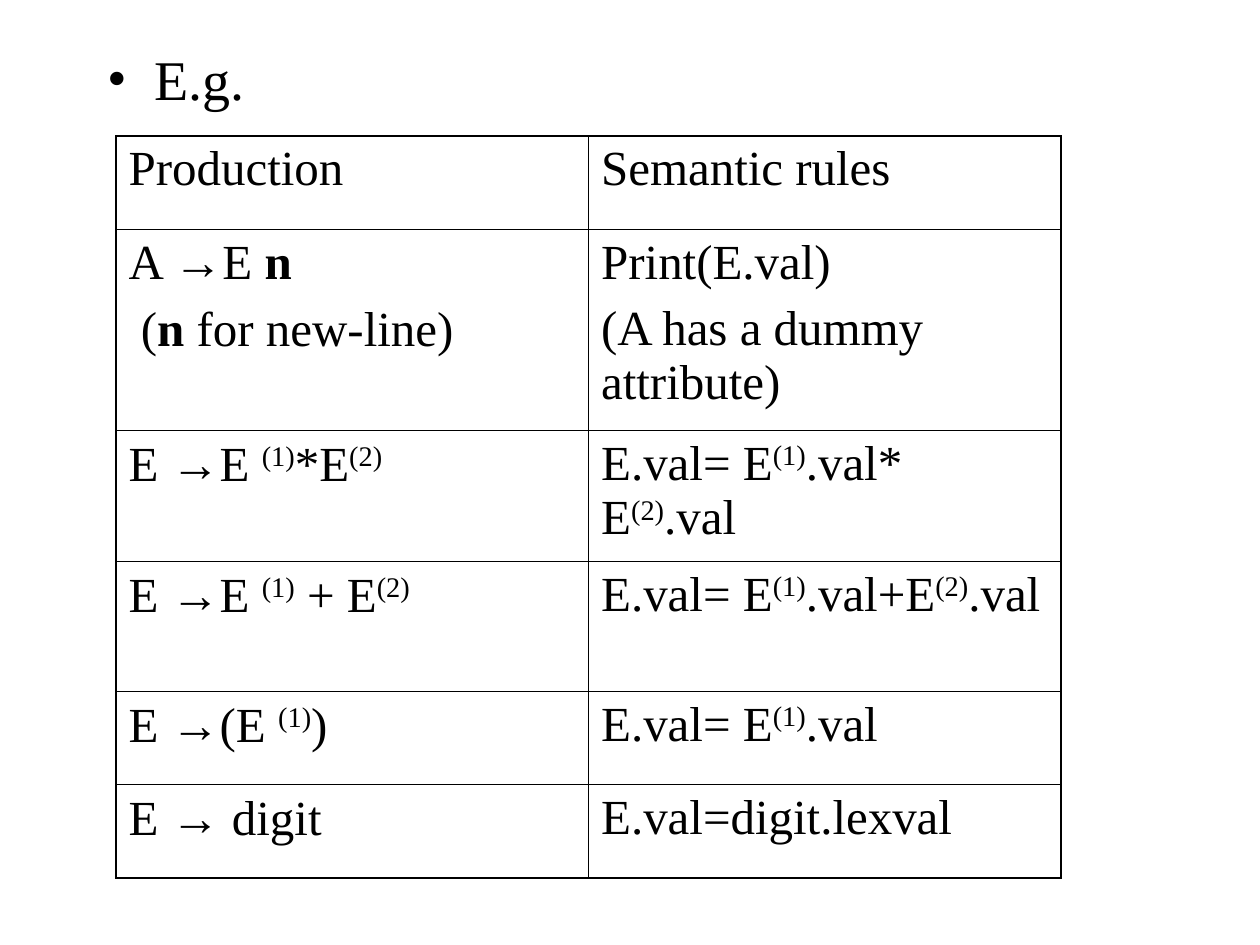
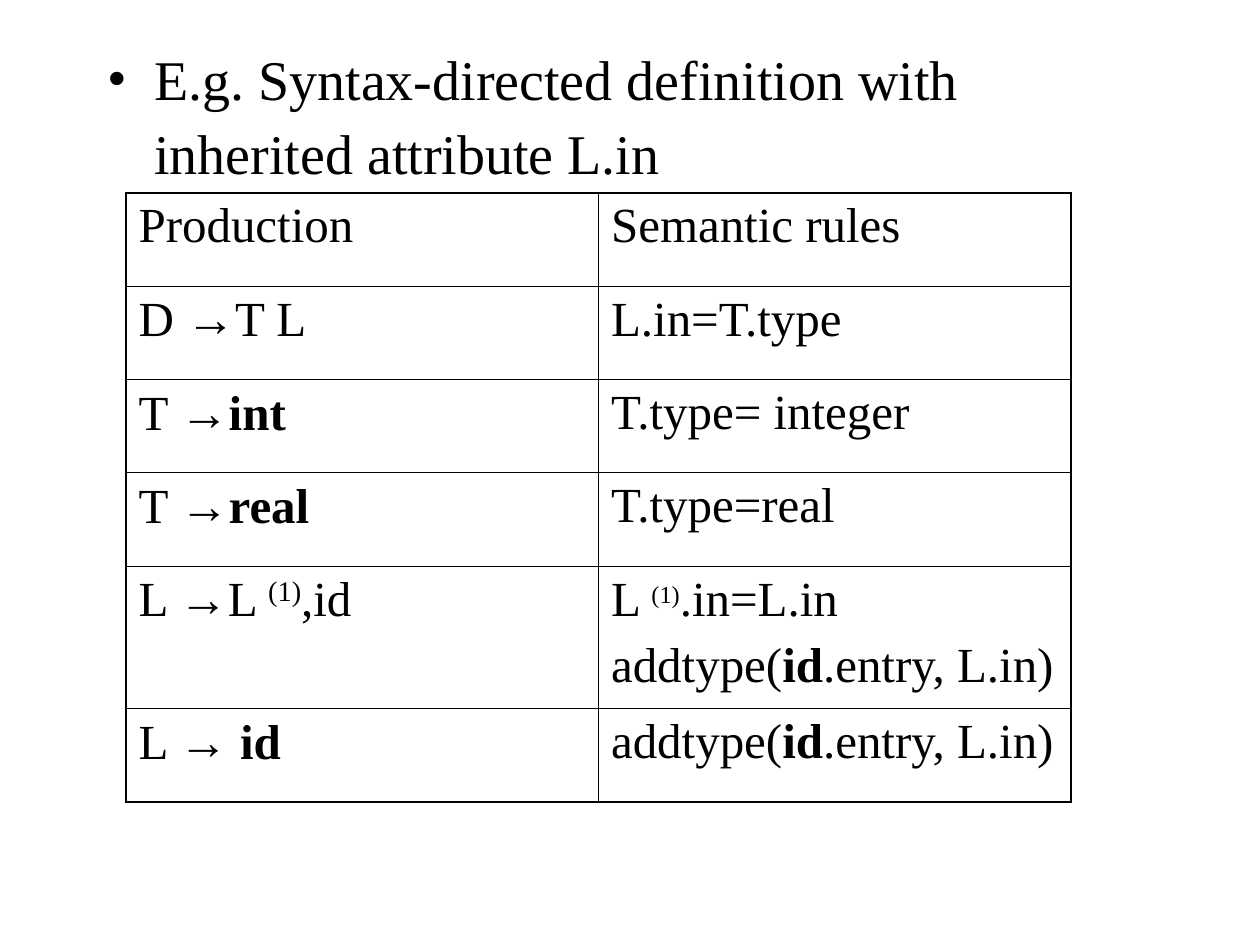
from dataclasses import dataclass
from itertools import groupby

from lxml import etree
from pptx import Presentation
from pptx import util as u
from pptx.dml import color
from pptx.oxml import ns


@dataclass(frozen=True)
class Theme:
    ink: str = "000000"
    paper: str = "FFFFFF"
    font: str = "Times New Roman"
    arrow_font: str = "Arial"
    heading_size: float = 32
    cell_size: float = 28
    small_size: float = 24
    heading_spacing: float = 1.1
    paragraph_gap: float = 7
    inner_line: float = 0.45
    outer_line: float = 1.08


THEME = Theme()
HEADING_BOX = (1.91, 0.64, 21.59, 16.71)
TABLE_WIDTH = 19.05
ROW = 1.88

# Marks in the wording switch a style on and off:
# | bold, ^ superscript, ` superscript in the small size
HEADER = ("Production", "Semantic rules")
CALCULATOR_RULES = [
    (ROW, HEADER),
    (4.06, ("A →E |n|\n (|n| for new-line)", "Print(E.val)\n(A has a dummy attribute)")),
    (2.64, ("E →E ^(1)^*E^(2)^", "E.val= E^(1)^.val* E^(2)^.val")),
    (2.62, ("E →E ^(1)^ + E^(2)^", "E.val= E^(1)^.val+E^(2)^.val")),
    (ROW, ("E →(E ^(1)^)", "E.val= E^(1)^.val")),
    (ROW, ("E → digit", "E.val=digit.lexval")),
]
DECLARATION_RULES = [
    (ROW, HEADER),
    (ROW, ("D →T L", "L.in=T.type")),
    (ROW, ("T →|int|", "T.type= integer")),
    (ROW, ("T →|real|", "T.type=real")),
    (2.87, ("L →L ^(1)^,id", "L `(1)`.in=L.in\naddtype(|id|.entry, L.in)")),
    (ROW, ("L → |id|", "addtype(|id|.entry, L.in)")),
]


def styled_pieces(line):
    """Split a marked line into (text, active marks, is arrow) pieces."""
    active, characters = frozenset(), []
    for character in line:
        if character in "|^`":
            active ^= {character}
        else:
            characters.append((character, active, character == "→"))
    for style, group in groupby(characters, key=lambda item: item[1:]):
        yield "".join(item[0] for item in group), *style


def add_bullet(paragraph, indent):
    properties = paragraph._p.get_or_add_pPr()
    properties.set("marL", str(u.Cm(indent)))
    properties.set("indent", str(-u.Cm(indent)))
    bullet_color = etree.SubElement(properties, ns.qn("a:buClr"))
    etree.SubElement(bullet_color, ns.qn("a:srgbClr"), val=THEME.ink)
    etree.SubElement(properties, ns.qn("a:buFont"), typeface=THEME.font)
    etree.SubElement(properties, ns.qn("a:buChar"), char="•")


def write_text(frame, wording, *, size, gap=0, spacing=None, bullet_indent=None):
    frame.word_wrap = True
    for index, line in enumerate(wording.split("\n")):
        paragraph = frame.add_paragraph() if index else frame.paragraphs[0]
        if index:
            paragraph.space_before = u.Pt(gap)
        if spacing:
            paragraph.line_spacing = spacing
        if bullet_indent:
            add_bullet(paragraph, bullet_indent)
        paragraph.font.size = u.Pt(size)
        for piece, marks, is_arrow in styled_pieces(line):
            run = paragraph.add_run()
            run.text = piece
            run.font.name = THEME.arrow_font if is_arrow else THEME.font
            run.font.size = u.Pt(THEME.small_size if "`" in marks else size)
            run.font.color.rgb = color.RGBColor.from_string(THEME.ink)
            run.font.bold = "|" in marks
            if marks & {"^", "`"}:
                run.font._element.set("baseline", "30000")


def set_borders(cell, outer_sides):
    properties = cell._tc.get_or_add_tcPr()
    for position, side in enumerate("LRTB"):
        width = THEME.outer_line if side in outer_sides else THEME.inner_line
        line = etree.Element(ns.qn(f"a:ln{side}"), w=str(u.Pt(width)))
        fill = etree.SubElement(line, ns.qn("a:solidFill"))
        etree.SubElement(fill, ns.qn("a:srgbClr"), val=THEME.ink)
        properties.insert(position, line)


def add_heading(slide, wording, box):
    shape = slide.shapes.add_textbox(*map(u.Cm, box))
    write_text(shape.text_frame, wording, size=THEME.heading_size,
               spacing=THEME.heading_spacing, bullet_indent=0.95)


def add_rule_table(slide, rules, left, top):
    height = sum(row_height for row_height, _ in rules)
    columns = len(HEADER)
    table = slide.shapes.add_table(
        len(rules), columns, *map(u.Cm, (left, top, TABLE_WIDTH, height))).table
    table.first_row = table.horz_banding = False
    for column in table.columns:
        column.width = u.Cm(TABLE_WIDTH / columns)
    for row_index, (row_height, wordings) in enumerate(rules):
        table.rows[row_index].height = u.Cm(row_height)
        for column_index, wording in enumerate(wordings):
            cell = table.cell(row_index, column_index)
            cell.fill.background()
            write_text(cell.text_frame, wording, size=THEME.cell_size,
                       gap=THEME.paragraph_gap)
            edges = {"L": column_index == 0, "R": column_index == columns - 1,
                     "T": row_index == 0, "B": row_index == len(rules) - 1}
            set_borders(cell, {side for side, is_outer in edges.items() if is_outer})


def add_example_slide(presentation, heading, rules, table_left, table_top):
    slide = presentation.slides.add_slide(presentation.slide_layouts[6])
    slide.background.fill.solid()
    slide.background.fill.fore_color.rgb = color.RGBColor.from_string(THEME.paper)
    add_heading(slide, heading, HEADING_BOX)
    add_rule_table(slide, rules, table_left, table_top)


def main():
    presentation = Presentation()
    presentation.slide_width, presentation.slide_height = u.Cm(25.4), u.Cm(19.05)
    # Synthesized attributes: desk calculator
    add_example_slide(presentation, "E.g.", CALCULATOR_RULES, 2.34, 2.74)
    # Inherited attributes: type declarations
    add_example_slide(
        presentation,
        "E.g. Syntax-directed definition with inherited attribute L.in",
        DECLARATION_RULES, 2.54, 3.89)
    presentation.save("out.pptx")


if __name__ == "__main__":
    main()
